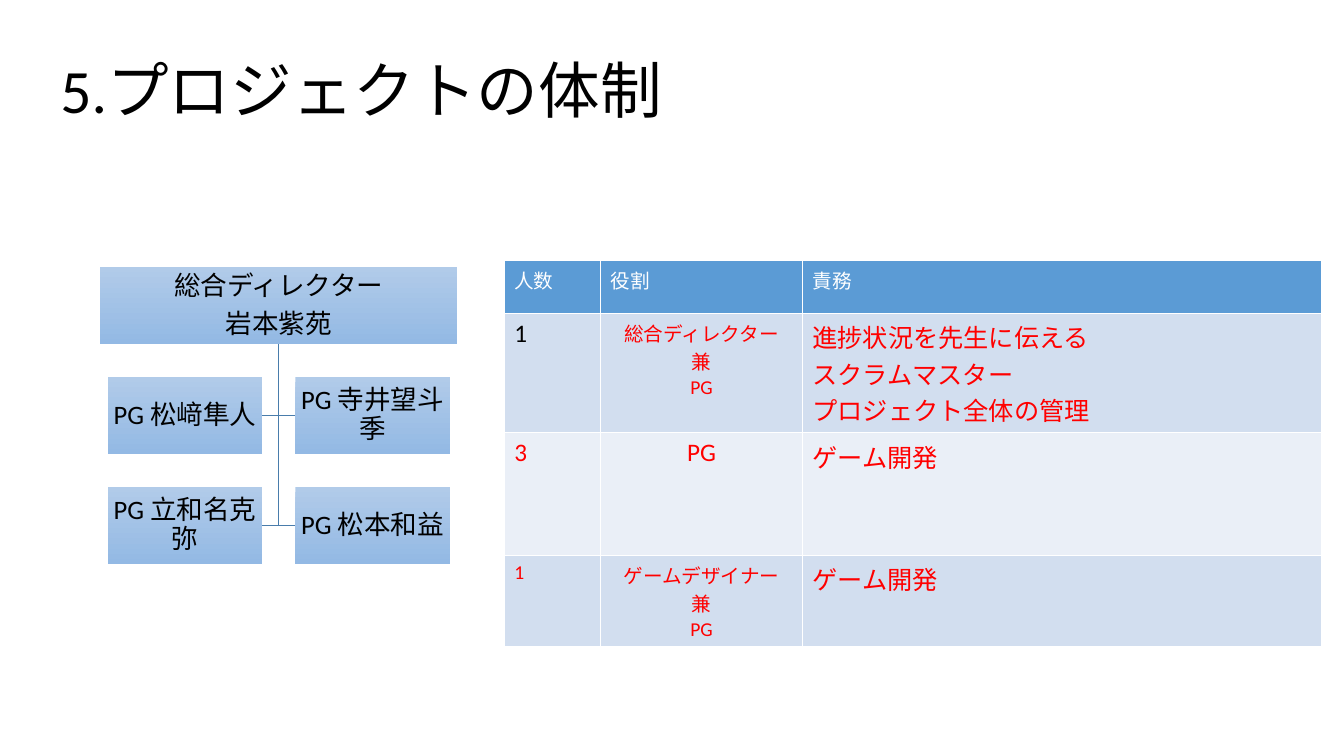
from pptx import Presentation
from pptx.dml.color import RGBColor
from pptx.enum.shapes import MSO_SHAPE
from pptx.enum.text import MSO_ANCHOR, PP_ALIGN
from pptx.util import Pt

RECTANGLE = MSO_SHAPE.RECTANGLE
MIDDLE = MSO_ANCHOR.MIDDLE
LEFT, CENTER = PP_ALIGN.LEFT, PP_ALIGN.CENTER

BLACK = RGBColor(0x00, 0x00, 0x00)
WHITE = RGBColor(0xFF, 0xFF, 0xFF)
RED = RGBColor(0xFF, 0x00, 0x00)
HEADER_BLUE = RGBColor(0x5B, 0x9B, 0xD5)
BAND_DARK = RGBColor(0xD2, 0xDE, 0xEF)
BAND_LIGHT = RGBColor(0xEA, 0xEF, 0xF7)
BOX_TOP = RGBColor(0xB1, 0xCB, 0xE9)
BOX_BOTTOM = RGBColor(0x93, 0xB9, 0xE4)
LINE_BLUE = RGBColor(0x49, 0x7C, 0xAB)
FONT = "Calibri"


def format_text(text_frame, size, color, alignment):
    for paragraph in text_frame.paragraphs:
        paragraph.alignment = alignment
        paragraph.font.name = FONT
        paragraph.font.size = Pt(size)
        paragraph.font.bold = False
        paragraph.font.color.rgb = color


def add_member_box(slide, left, top, width, height, text):
    box = slide.shapes.add_shape(RECTANGLE, Pt(left), Pt(top), Pt(width), Pt(height))
    box.shadow.inherit = False
    box.line.fill.background()
    box.fill.gradient()
    box.fill.gradient_angle = 270
    for stop, color in zip(box.fill.gradient_stops, (BOX_TOP, BOX_BOTTOM)):
        stop.color.rgb = color
    frame = box.text_frame
    frame.text = text
    frame.word_wrap = True
    frame.vertical_anchor = MIDDLE
    frame.margin_left = frame.margin_right = Pt(0.7)
    frame.margin_top = frame.margin_bottom = Pt(0.7)
    format_text(frame, 19, BLACK, CENTER)
    for paragraph in frame.paragraphs:
        paragraph.line_spacing = 0.9
        paragraph.space_after = Pt(6.65)


presentation = Presentation()
presentation.slide_width = Pt(960)
presentation.slide_height = Pt(540)
slide = presentation.slides.add_slide(presentation.slide_layouts[5])

# Title
title = slide.shapes.title
title.left, title.top, title.width, title.height = Pt(36), Pt(21.6), Pt(648), Pt(90)
title.text_frame.text = "5.プロジェクトの体制"
title.text_frame.vertical_anchor = MIDDLE
format_text(title.text_frame, 44, BLACK, LEFT)
title.text_frame.paragraphs[0].line_spacing = 0.9

# Roles table: each cell holds text, size, colour
roles = [
    [("人数", 14, WHITE), ("役割", 14, WHITE), ("責務", 14, WHITE)],
    [("1", 18, BLACK), ("総合ディレクター\n兼\nPG", 14, RED),
     ("進捗状況を先生に伝える\nスクラムマスター\nプロジェクト全体の管理", 18, RED)],
    [("3", 18, RED), ("PG", 18, RED), ("ゲーム開発", 18, RED)],
    [("1", 14, RED), ("ゲームデザイナー\n兼\nPG", 14, RED), ("ゲーム開発", 18, RED)],
]
row_fills = [HEADER_BLUE, BAND_DARK, BAND_LIGHT, BAND_DARK]
column_widths = [68.8, 144.2, 371]
row_heights = [38, 85, 87.5, 65]
table = slide.shapes.add_table(
    len(roles), len(column_widths), Pt(360.2), Pt(185.8),
    Pt(sum(column_widths)), Pt(sum(row_heights))).table
for column, width in zip(table.columns, column_widths):
    column.width = Pt(width)
for row_index, row in enumerate(roles):
    table.rows[row_index].height = Pt(row_heights[row_index])
    for column_index, (text, size, color) in enumerate(row):
        cell = table.cell(row_index, column_index)
        cell.fill.solid()
        cell.fill.fore_color.rgb = row_fills[row_index]
        cell.text_frame.text = text
        centered = row_index > 0 and column_index == 1
        format_text(cell.text_frame, size, color, CENTER if centered else LEFT)

# Organisation chart
director_left, director_top, director_width = 71.6, 190.8, 255
member_width, box_height = 110.4, 55.2
branch, row_pitch, first_row_top = 11.8, 78.6, 269.2
center = director_left + director_width / 2
director_bottom = director_top + box_height
member_rows = [("PG 松﨑隼人", "PG 寺井望斗季"), ("PG 立和名克弥", "PG 松本和益")]
member_tops = [first_row_top + index * row_pitch for index in range(len(member_rows))]

for top in reversed(member_tops):
    for side in (1, -1):
        middle = top + box_height / 2
        builder = slide.shapes.build_freeform(Pt(center), Pt(director_bottom))
        builder.add_line_segments(
            [(Pt(center), Pt(middle)), (Pt(center + side * branch), Pt(middle))], close=False)
        link = builder.convert_to_shape()
        link.shadow.inherit = False
        link.fill.background()
        link.line.color.rgb = LINE_BLUE
        link.line.width = Pt(1)

add_member_box(slide, director_left, director_top, director_width, box_height,
               "総合ディレクター\n岩本紫苑")
for top, names in zip(member_tops, member_rows):
    for left, name in zip((center - branch - member_width, center + branch), names):
        add_member_box(slide, left, top, member_width, box_height, name)

presentation.save("out.pptx")
